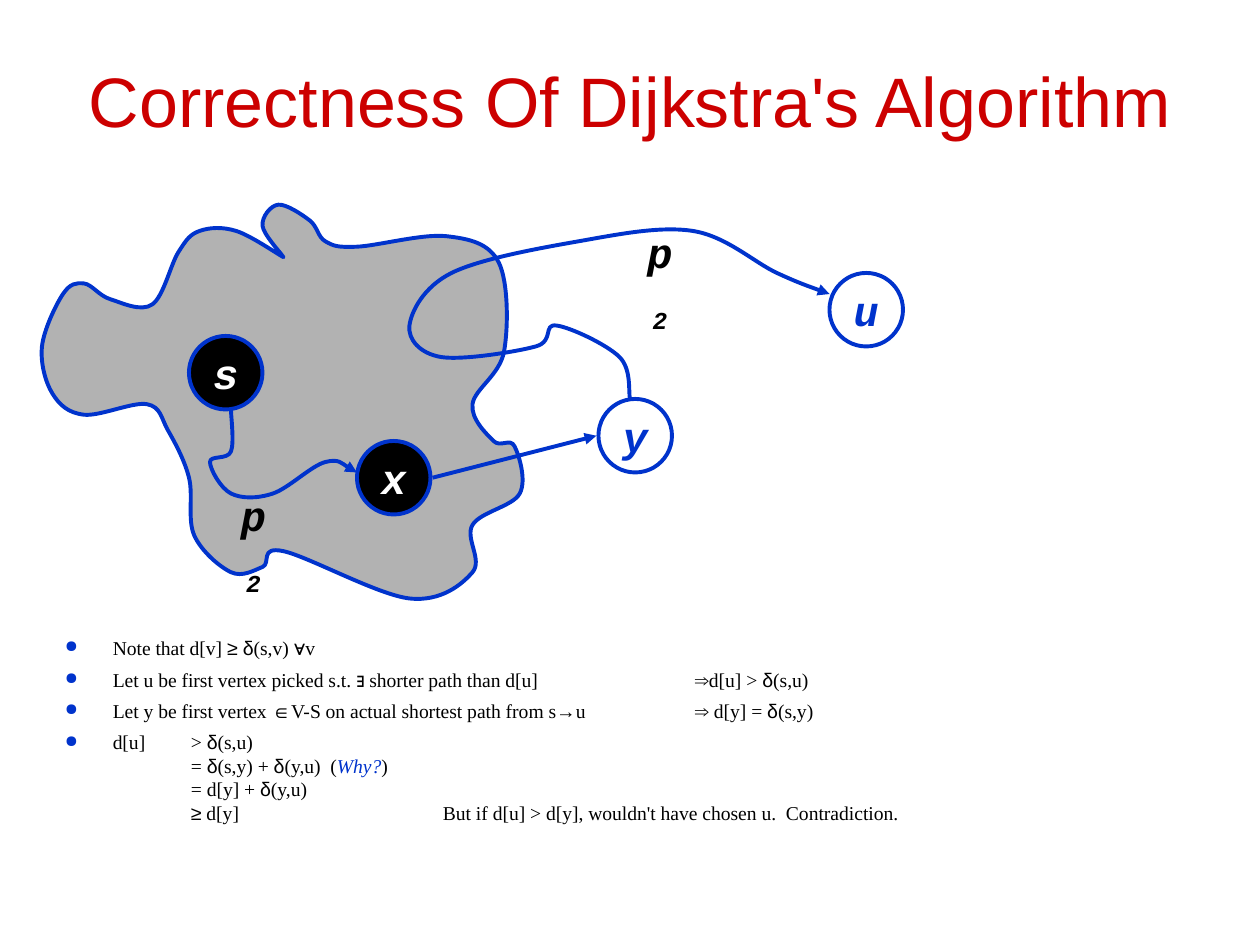
import itertools
from dataclasses import dataclass

import lxml.etree
import pptx
import pptx.dml.color
import pptx.enum.shapes
import pptx.enum.text
import pptx.oxml.ns
import pptx.util

WIDE, HIGH = pptx.util.Inches(10), pptx.util.Inches(7.5)
CELL = WIDE / 120
FINE = 100
BLUE, BLACK, WHITE = "0033CC", "000000", "FFFFFF"
SIGNS = "≥δ∀∃⇒∈→"
ASK = "Why?"
SIDE = 7
Dot = tuple[float, float]


@dataclass
class Box:
    col: float
    row: float
    cols: float
    rows: float

    def place(self) -> list[int]:
        return [round(n * CELL) for n in (self.col, self.row, self.cols, self.rows)]


@dataclass
class Node:
    name: str
    col: float
    row: float
    fill: str
    ink: str


@dataclass
class Curve:
    knots: list[Dot]
    fill: str | None = None

    def dots(self) -> list[Dot]:
        ends = [self.knots[0], *self.knots, self.knots[-1]]
        found = [self.knots[0]]
        for a, b, c, d in zip(ends, ends[1:], ends[2:], ends[3:]):
            found.append((b[0] + (c[0] - a[0]) / 6, b[1] + (c[1] - a[1]) / 6))
            found.append((c[0] - (d[0] - b[0]) / 6, c[1] - (d[1] - b[1]) / 6))
            found.append(c)
        return [(round(x * FINE), round(y * FINE)) for x, y in found]


NODES = [
    Node("s", 18, 32, BLACK, WHITE),
    Node("x", 34, 42, BLACK, WHITE),
    Node("y", 57, 38, WHITE, BLUE),
    Node("u", 79, 26, WHITE, BLUE),
]

CLOUD = Curve([
    (27, 24.5), (22.5, 22), (19, 22), (17, 24), (14.5, 29), (10.5, 28.5),
    (8, 27), (6, 28), (4, 33), (5, 37.5), (8, 39.5), (14, 38.5),
    (16, 41), (18, 45.5), (18.5, 51), (22, 54.5), (25, 54), (27, 52.5),
    (39, 57), (45, 54.5), (45, 50), (49.5, 47), (49, 42.5), (47, 42),
    (45, 38.5), (48, 33.5), (47.5, 25), (42.5, 22.5), (34, 23.5), (31, 23),
    (29.5, 21), (26.5, 19.5), (25, 21.5), (27, 24.5),
], "B2B2B2")
NEAR = Curve([(22, 39), (22, 43), (20, 44), (22, 47), (26, 47), (31, 44), (34, 45)])
FAR = Curve([
    (60, 38), (59, 34), (53, 31), (51, 33), (42, 34), (39, 31),
    (43, 26), (55, 23), (66, 22), (74, 26), (79, 28),
])

PROOF = [
    ["Note that d[v] ≥ δ(s,v) ∀v"],
    ["Let u be first vertex picked s.t. ∃ shorter path than d[u] \t\t⇒d[u] > δ(s,u)"],
    ["Let y be first vertex ∈V-S on actual shortest path from s→u \t⇒ d[y] = δ(s,y)"],
    [
        "d[u]\t> δ(s,u)",
        "\t= δ(s,y) + δ(y,u)  (Why?)",
        "\t= d[y] + δ(y,u)",
        "\t≥ d[y]\t\tBut if d[u] > d[y], wouldn't have chosen u.  Contradiction.",
    ],
]


def paint(tint: str):
    return pptx.dml.color.RGBColor.from_string(tint)


def tag(root, name: str, **items: str):
    node = lxml.etree.SubElement(root, pptx.oxml.ns.qn(name))
    for key, text in items.items():
        node.set(key, text)
    return node


def style(font, size: float, tint: str, face: str | None = None, bold: bool = False) -> None:
    font.size = pptx.util.Pt(size)
    font.color.rgb = paint(tint)
    if face:
        font.name = face
    if bold:
        font.bold = font.italic = True


def stroke(item, head: bool = False) -> None:
    item.line.color.rgb = paint(BLUE)
    item.line.width = pptx.util.Pt(2.25)
    if head:
        tag(item.line._get_or_add_ln(), "a:tailEnd", type="triangle")


def flood(shape, tint: str | None) -> None:
    shape.shadow.inherit = False
    if tint:
        shape.fill.solid()
        shape.fill.fore_color.rgb = paint(tint)
    else:
        shape.fill.background()


def centre(frame):
    para = frame.paragraphs[0]
    para.alignment = pptx.enum.text.PP_ALIGN.CENTER
    return para


def title(slide, text: str) -> None:
    frame = slide.shapes.add_textbox(*Box(6, 3, 108, 13).place()).text_frame
    frame.word_wrap = True
    frame.vertical_anchor = pptx.enum.text.MSO_ANCHOR.MIDDLE
    para = centre(frame)
    para.text = text
    style(para.font, 40, "CC0000", "Arial")


def bullet(para) -> None:
    props = para._p.get_or_add_pPr()
    dent = pptx.util.Inches(0.38)
    props.set("marL", str(dent))
    props.set("indent", str(-dent))
    tag(tag(props, "a:buClr"), "a:srgbClr", val=BLUE)
    tag(props, "a:buSzPct", val="85000")
    tag(props, "a:buChar", char="●")
    tabs = tag(props, "a:tabLst")
    for stop in range(1, 9):
        tag(tabs, "a:tab", pos=str(pptx.util.Inches(stop)), algn="l")


def write(para, line: str) -> None:
    for part in line.partition(ASK):
        for sign, chars in itertools.groupby(part, key=lambda c: c in SIGNS):
            run = para.add_run()
            run.text = "".join(chars)
            run.font.name = "Arial" if sign else "Times New Roman"
            if part == ASK:
                run.font.italic = True
                run.font.color.rgb = paint(BLUE)


def proof(slide) -> None:
    frame = slide.shapes.add_textbox(*Box(5, 60, 110, 25).place()).text_frame
    frame.word_wrap = True
    for rank, lines in enumerate(PROOF):
        para = frame.add_paragraph() if rank else frame.paragraphs[0]
        bullet(para)
        if rank:
            para.space_before = pptx.util.Pt(4.5)
        style(para.font, 11.2, BLACK)
        for step, line in enumerate(lines):
            if step:
                para.add_line_break()
            write(para, line)


def trace(slide, curve: Curve) -> None:
    start, *dots = curve.dots()
    pen = slide.shapes.build_freeform(*start, scale=CELL / FINE)
    pen.add_line_segments(dots, close=bool(curve.fill))
    shape = pen.convert_to_shape()
    flood(shape, curve.fill)
    stroke(shape, head=not curve.fill)
    legs = list(shape._element.iter(pptx.oxml.ns.qn("a:lnTo")))
    for i in range(0, len(dots), 3):
        arc = legs[i].makeelement(pptx.oxml.ns.qn("a:cubicBezTo"))
        legs[i].addprevious(arc)
        for leg in legs[i:i + 3]:
            arc.append(leg[0])
            leg.getparent().remove(leg)


def vertex(slide, node: Node) -> None:
    oval = pptx.enum.shapes.MSO_SHAPE.OVAL
    shape = slide.shapes.add_shape(oval, *Box(node.col, node.row, SIDE, SIDE).place())
    flood(shape, node.fill)
    stroke(shape)
    frame = shape.text_frame
    frame.word_wrap = False
    frame.vertical_anchor = pptx.enum.text.MSO_ANCHOR.MIDDLE
    para = centre(frame)
    para.text = node.name
    style(para.font, 24, node.ink, "Courier New", True)


def edge(slide, *ends: float) -> None:
    kind = pptx.enum.shapes.MSO_CONNECTOR.STRAIGHT
    line = slide.shapes.add_connector(kind, *[round(n * CELL) for n in ends])
    stroke(line, head=True)
    tag(line._element.spPr, "a:effectLst")


def label(slide, col: float, row: float) -> None:
    frame = slide.shapes.add_textbox(*Box(col, row, 6.1, 6.7).place()).text_frame
    frame.word_wrap = False
    frame.auto_size = pptx.enum.text.MSO_AUTO_SIZE.SHAPE_TO_FIT_TEXT
    para = centre(frame)
    style(para.font, 24, BLACK, "Courier New", True)
    para.add_run().text = "p"
    sub = para.add_run()
    sub.text = "2"
    sub._r.get_or_add_rPr().set("baseline", "-25000")


def main() -> None:
    deck = pptx.Presentation()
    deck.slide_width, deck.slide_height = WIDE, HIGH
    slide = deck.slides.add_slide(deck.slide_layouts[6])
    title(slide, "Correctness Of Dijkstra's Algorithm")
    proof(slide)
    trace(slide, CLOUD)
    for node in NODES:
        vertex(slide, node)
    trace(slide, NEAR)
    edge(slide, 41.2, 45.5, 56.8, 41.5)
    trace(slide, FAR)
    label(slide, 59.8, 21)
    label(slide, 21.1, 46)
    deck.save("out.pptx")


if __name__ == "__main__":
    main()
